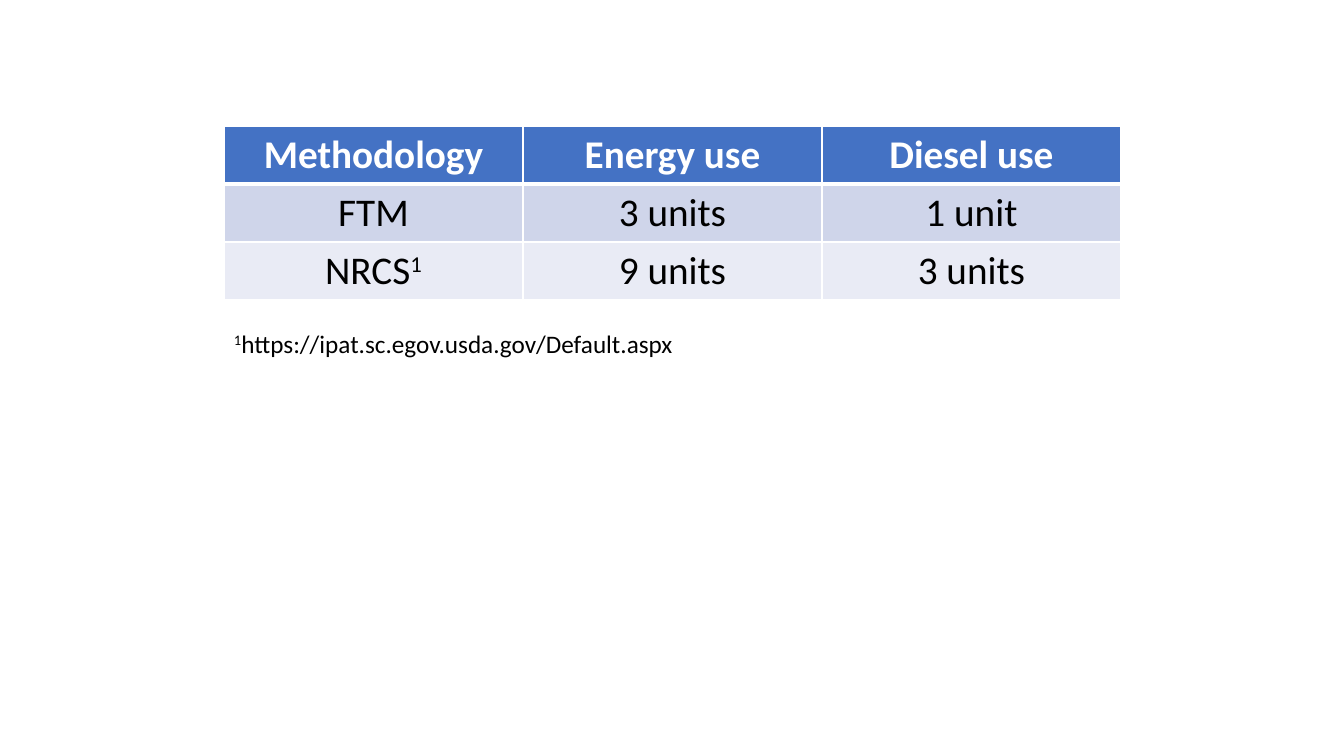
import lxml.etree
import pptx
import pptx.dml.color
import pptx.enum.text
import pptx.oxml.ns
import pptx.util

EMU_PER_PX = 914400 / 100.8
WHITE = pptx.dml.color.RGBColor(0xFF, 0xFF, 0xFF)
BLACK = pptx.dml.color.RGBColor(0x00, 0x00, 0x00)
HEADER_BLUE = pptx.dml.color.RGBColor(0x44, 0x72, 0xC4)
ROW_FILLS = [
    pptx.dml.color.RGBColor(0xCF, 0xD5, 0xEA),
    pptx.dml.color.RGBColor(0xE9, 0xEB, 0xF5),
]
METHODS = [
    ["Methodology", "Energy use", "Diesel use"],
    ["FTM", "3 units", "1 unit"],
    ["NRCS", "9 units", "3 units"],
]
FOOTNOTE_MARKS = {"NRCS": "1"}


def px(length):
    return pptx.util.Emu(round(length * EMU_PER_PX))


def add_text(paragraph, text, *, font, size, color=BLACK, bold=False, raised=False):
    run = paragraph.add_run()
    run.text = text
    run.font.name = font
    run.font.size = pptx.util.Pt(size)
    run.font.color.rgb = color
    run.font.bold = bold
    if raised:
        run._r.get_or_add_rPr().set("baseline", "30000")


def add_border(cell, side, width, color=WHITE):
    """Draw one side (L, R, T or B); call before the cell is filled."""
    name = pptx.oxml.ns.qn
    properties = cell._tc.get_or_add_tcPr()
    line = lxml.etree.SubElement(
        properties, name(f"a:ln{side}"), w=str(pptx.util.Pt(width))
    )
    fill = lxml.etree.SubElement(line, name("a:solidFill"))
    lxml.etree.SubElement(fill, name("a:srgbClr"), val=str(color))


class SlideBuilder:
    def __init__(self, slide, font):
        self.slide = slide
        self.font = font

    def table(self, rows, left, top, column_width, row_height, size):
        columns = len(rows[0])
        frame = self.slide.shapes.add_table(
            len(rows), columns, px(left), px(top),
            px(column_width * columns), px(row_height * len(rows)),
        )
        table = frame.table
        table.horz_banding = False
        for column in table.columns:
            column.width = px(column_width)
        for row_index, values in enumerate(rows):
            table.rows[row_index].height = px(row_height)
            for column_index, value in enumerate(values):
                self.cell(table.cell(row_index, column_index), value, row_index, size)

    def cell(self, cell, value, row_index, size):
        header = row_index == 0
        widths = {"L": 1, "R": 1, "T": 3 if row_index == 1 else 1, "B": 3 if header else 1}
        for side, width in widths.items():
            add_border(cell, side, width)
        cell.fill.solid()
        cell.fill.fore_color.rgb = (
            HEADER_BLUE if header else ROW_FILLS[(row_index - 1) % len(ROW_FILLS)]
        )
        paragraph = cell.text_frame.paragraphs[0]
        paragraph.alignment = pptx.enum.text.PP_ALIGN.CENTER
        style = {"font": self.font, "size": size, "color": WHITE if header else BLACK}
        add_text(paragraph, value, bold=header, **style)
        if value in FOOTNOTE_MARKS:
            add_text(paragraph, FOOTNOTE_MARKS[value], raised=True, **style)

    def footnote(self, mark, text, left, top, width, height, size):
        box = self.slide.shapes.add_textbox(px(left), px(top), px(width), px(height))
        box.text_frame.word_wrap = True
        box.text_frame.auto_size = pptx.enum.text.MSO_AUTO_SIZE.SHAPE_TO_FIT_TEXT
        paragraph = box.text_frame.paragraphs[0]
        add_text(paragraph, mark, font=self.font, size=size, raised=True)
        add_text(paragraph, text, font=self.font, size=size)


def main():
    presentation = pptx.Presentation()
    presentation.slide_width = px(1344)
    presentation.slide_height = px(756)
    blank_layout = presentation.slide_layouts[6]
    builder = SlideBuilder(presentation.slides.add_slide(blank_layout), "Calibri")
    builder.table(METHODS, left=224, top=126, column_width=299, row_height=58, size=28)
    builder.footnote(
        FOOTNOTE_MARKS["NRCS"], "https://ipat.sc.egov.usda.gov/Default.aspx",
        left=224, top=323, width=672, height=40, size=18,
    )
    presentation.save("out.pptx")


if __name__ == "__main__":
    main()
